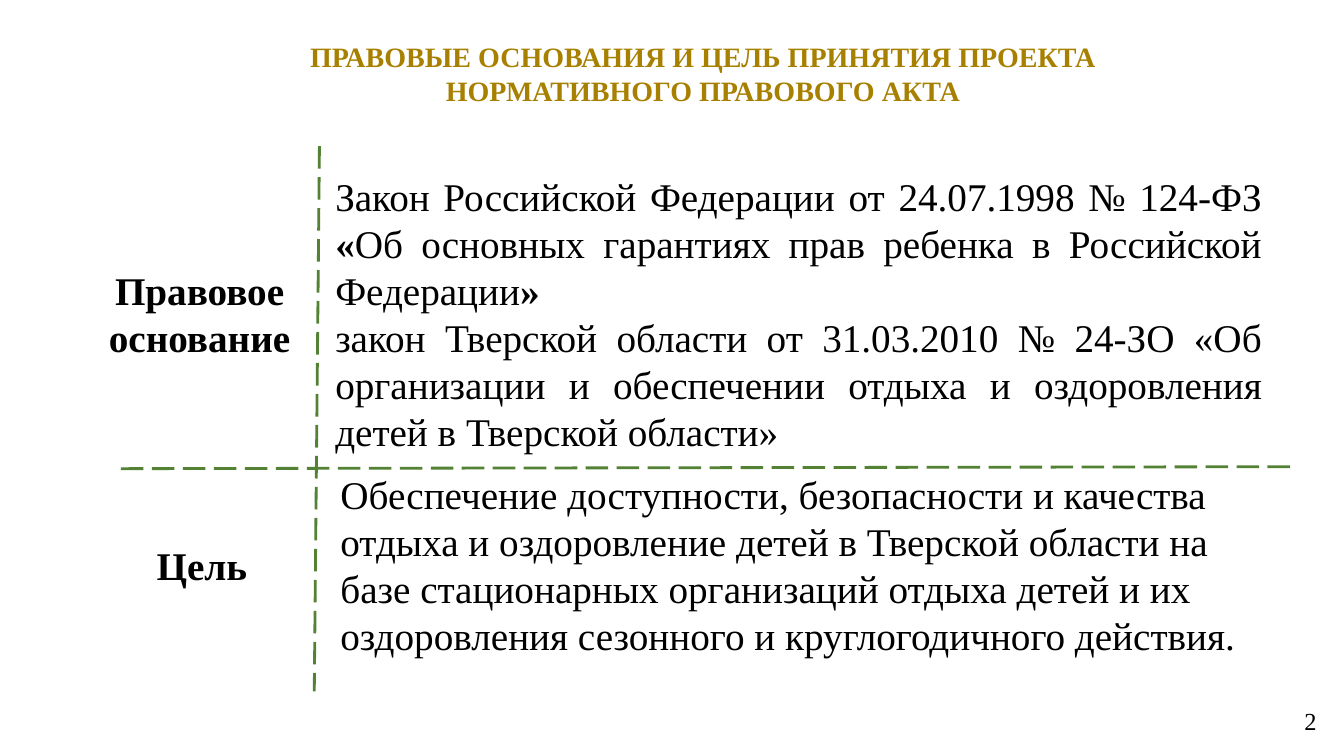
from lxml import etree
from pptx import Presentation
from pptx.dml.color import RGBColor
from pptx.enum.dml import MSO_LINE
from pptx.enum.shapes import MSO_CONNECTOR
from pptx.enum.text import MSO_ANCHOR, PP_ALIGN
from pptx.oxml.ns import qn
from pptx.util import Cm, Pt

STRAIGHT = MSO_CONNECTOR.STRAIGHT
LONG_DASH = MSO_LINE.LONG_DASH
TOP, MIDDLE = MSO_ANCHOR.TOP, MSO_ANCHOR.MIDDLE
LEFT, CENTER, RIGHT, JUSTIFY = PP_ALIGN.LEFT, PP_ALIGN.CENTER, PP_ALIGN.RIGHT, PP_ALIGN.JUSTIFY
COLORS = {"title": "A88000", "text": "000000", "divider": "548235"}


def fill_text(shape, paragraphs, size, align, anchor, color="text"):
    """Write paragraphs, each a list of (text, bold) runs."""
    frame = shape.text_frame
    frame.word_wrap = True
    frame.vertical_anchor = anchor
    for index, runs in enumerate(paragraphs):
        paragraph = frame.add_paragraph() if index else frame.paragraphs[0]
        paragraph.alignment = align
        for text, bold in runs:
            for line_index, line in enumerate(text.split("\n")):
                if line_index:
                    paragraph.add_line_break()
                run = paragraph.add_run()
                run.text = line
                font_format = {"name": "Times New Roman", "size": Pt(size), "bold": bold}
                for attribute, value in font_format.items():
                    setattr(run.font, attribute, value)
                run.font.color.rgb = RGBColor.from_string(COLORS[color])


presentation = Presentation()
presentation.slide_width, presentation.slide_height = Cm(33.87), Cm(19.05)
slide = presentation.slides.add_slide(presentation.slide_layouts[5])

# Title
title = slide.shapes.title
title_place = {"left": Cm(4.52), "top": Cm(0.76), "width": Cm(26.39), "height": Cm(2.16)}
for attribute, value in title_place.items():
    setattr(title, attribute, value)
title_text = "ПРАВОВЫЕ ОСНОВАНИЯ И ЦЕЛЬ ПРИНЯТИЯ ПРОЕКТА\nНОРМАТИВНОГО ПРАВОВОГО АКТА"
fill_text(title, [[(title_text, True)]], 20, CENTER, MIDDLE, "title")

# Row labels, row texts and page number: place in cm, paragraphs, size, alignment, anchor
legal_basis = [
    [("Закон Российской Федерации от 24.07.1998 № 124-ФЗ ", False), ("«", True),
     ("Об основных гарантиях прав ребенка в Российской Федерации", False), ("»", True)],
    [("закон Тверской области от 31.03.2010 № 24-ЗО «Об организации и обеспечении "
      "отдыха и оздоровления детей в Тверской области»", False)],
]
goal = [[("Обеспечение доступности, безопасности и качества отдыха и оздоровление детей "
          "в Тверской области на базе стационарных организаций отдыха детей "
          "и их оздоровления сезонного и круглогодичного действия.", False)]]
text_boxes = [
    ((2.39, 6.58, 5.28, 2.64), [[("Правовое основание", True)]], 28, CENTER, TOP),
    ((8.2, 4.98, 23.85, 5.82), legal_basis, 28, JUSTIFY, MIDDLE),
    ((2.79, 13.51, 4.6, 1.45), [[("Цель", True)]], 28, CENTER, TOP),
    ((8.33, 11.73, 23.62, 5.05), goal, 28, LEFT, TOP),
    ((23.93, 17.65, 9.5, 1.02), [[("2", False)]], 17.5, RIGHT, MIDDLE),
]
for place, paragraphs, size, align, anchor in text_boxes:
    text_box = slide.shapes.add_textbox(*map(Cm, place))
    fill_text(text_box, paragraphs, size, align, anchor)

# Dashed dividers
for ends in [(8.05, 3.68, 7.92, 17.42), (32.51, 11.76, 2.92, 11.81)]:
    divider = slide.shapes.add_connector(STRAIGHT, *map(Cm, ends))
    divider.line.color.rgb = RGBColor.from_string(COLORS["divider"])
    divider.line.width = Pt(2)
    divider.line.dash_style = LONG_DASH
    etree.SubElement(divider.element.spPr, qn("a:effectLst"))

presentation.save("out.pptx")
